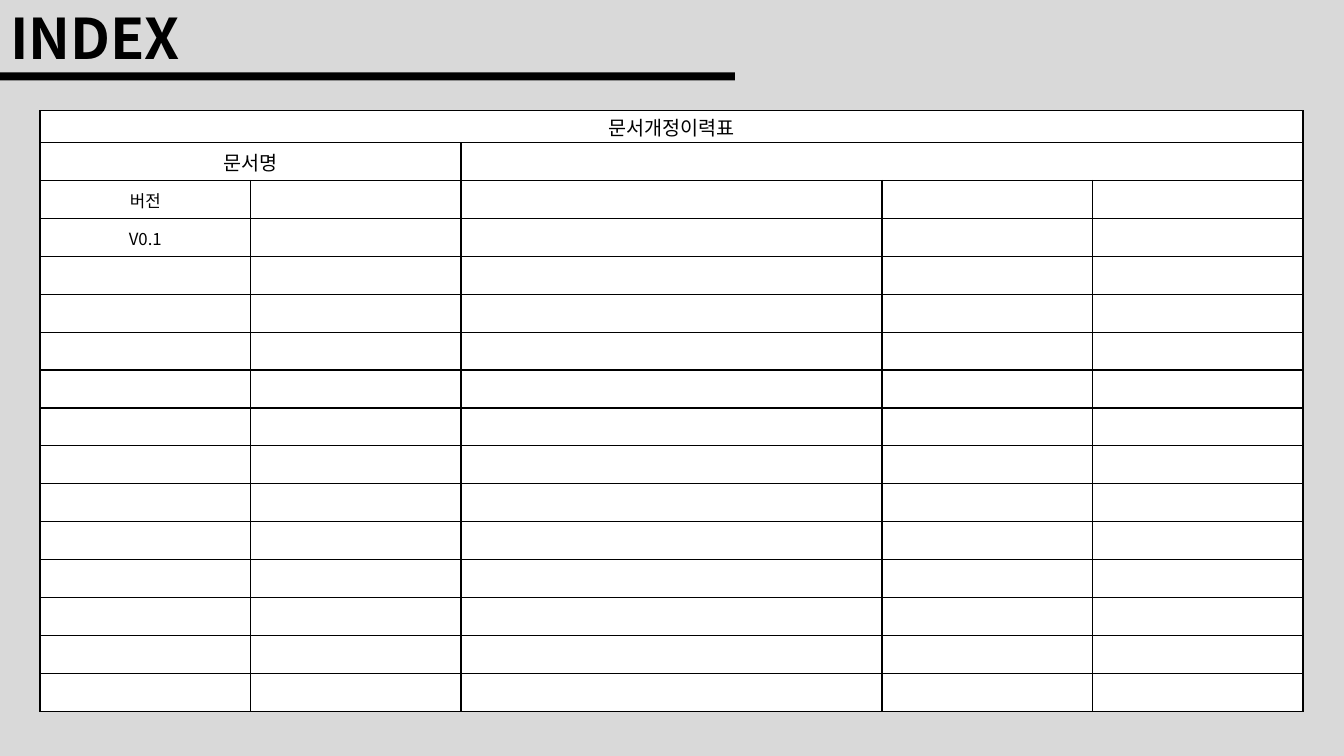
from lxml import etree
from pptx import Presentation
from pptx.dml.color import RGBColor
from pptx.enum import shapes, text
from pptx.oxml import ns
from pptx.util import Pt

BLACK = RGBColor(0, 0, 0)
WHITE = RGBColor(0xFF, 0xFF, 0xFF)
GREY = RGBColor(0xD9, 0xD9, 0xD9)
FONT = "Noto Sans CJK KR"
COLUMN_SHARES = [1, 1, 2, 1, 1]
ROW_COUNT = 16
CAPTION_HEIGHT = 22.9
MERGES = [(0, 0, 4), (1, 0, 1), (1, 2, 4)]
LABELS = {0: ("문서개정이력표", 14), 1: ("문서명", 14), 2: ("버전", 12), 3: ("V0.1", 12)}


def style_run(run, size, bold=False):
    """Give a run the slide's typeface for Latin and Korean letters."""
    run.font.name = FONT
    run.font.size = Pt(size)
    run.font.bold = bold
    run.font.color.rgb = BLACK
    etree.SubElement(run.font._element, ns.qn("a:ea"), typeface=FONT)


def add_heading(slide, left, top, width, height):
    """Place the slide title in the given box with a long rule beneath it."""
    heading = slide.shapes.title
    heading.left, heading.top = Pt(left), Pt(top)
    heading.width, heading.height = Pt(width), Pt(height)
    frame = heading.text_frame
    frame.text = "INDEX"
    frame.word_wrap = False
    frame.auto_size = text.MSO_AUTO_SIZE.NONE
    frame.vertical_anchor = text.MSO_ANCHOR.MIDDLE
    frame.margin_top = frame.margin_bottom = 0
    frame.paragraphs[0].alignment = text.PP_ALIGN.LEFT
    style_run(frame.paragraphs[0].runs[0], 40, bold=True)

    rule = slide.shapes.add_shape(
        shapes.MSO_SHAPE.RECTANGLE, Pt(left), Pt(top + 53), Pt(525), Pt(5.8))
    rule.shadow.inherit = False
    rule.fill.solid()
    rule.fill.fore_color.rgb = BLACK
    rule.line.fill.background()


def format_cell(cell):
    """Draw thin black borders around a white cell with narrow margins."""
    cell.margin_left = cell.margin_right = cell.margin_top = Pt(0.7)
    cell.margin_bottom = 0
    cell.vertical_anchor = text.MSO_ANCHOR.MIDDLE
    properties = cell._tc.get_or_add_tcPr()
    for side in ("a:lnL", "a:lnR", "a:lnT", "a:lnB"):
        border = etree.SubElement(properties, ns.qn(side), w=str(Pt(1)))
        paint = etree.SubElement(border, ns.qn("a:solidFill"))
        etree.SubElement(paint, ns.qn("a:srgbClr"), val=str(BLACK))
    cell.fill.solid()
    cell.fill.fore_color.rgb = WHITE


def add_revision_table(slide, left, top, width, height):
    """Fill the given box with the document revision history table."""
    history = slide.shapes.add_table(
        ROW_COUNT, len(COLUMN_SHARES), Pt(left), Pt(top), Pt(width), Pt(height)).table
    history.first_row = history.horz_banding = False
    for column, share in zip(history.columns, COLUMN_SHARES):
        column.width = Pt(width * share / sum(COLUMN_SHARES))
    for row in history.rows:
        row.height = Pt((height - CAPTION_HEIGHT) / (ROW_COUNT - 1))
    history.rows[0].height = Pt(CAPTION_HEIGHT)

    for cell in history.iter_cells():
        format_cell(cell)
        paragraph = cell.text_frame.paragraphs[0]
        etree.SubElement(paragraph._p, ns.qn("a:endParaRPr"), sz="1200")
    for row, first, last in MERGES:
        history.cell(row, first).merge(history.cell(row, last))
    for row, (label, size) in LABELS.items():
        paragraph = history.cell(row, 0).text_frame.paragraphs[0]
        paragraph.text = label
        paragraph.alignment = text.PP_ALIGN.CENTER
        style_run(paragraph.runs[0], size)


def build_index_slide(deck):
    """Add the index slide with its heading and revision table."""
    slide = deck.slides.add_slide(deck.slide_layouts[5])
    slide.background.fill.solid()
    slide.background.fill.fore_color.rgb = GREY
    add_heading(slide, 0, -1.3, 138, 55.4)
    add_revision_table(slide, 28.6, 79, 902.2, 429.1)


deck = Presentation()
deck.slide_width, deck.slide_height = Pt(960), Pt(540)
build_index_slide(deck)
deck.save("out.pptx")
